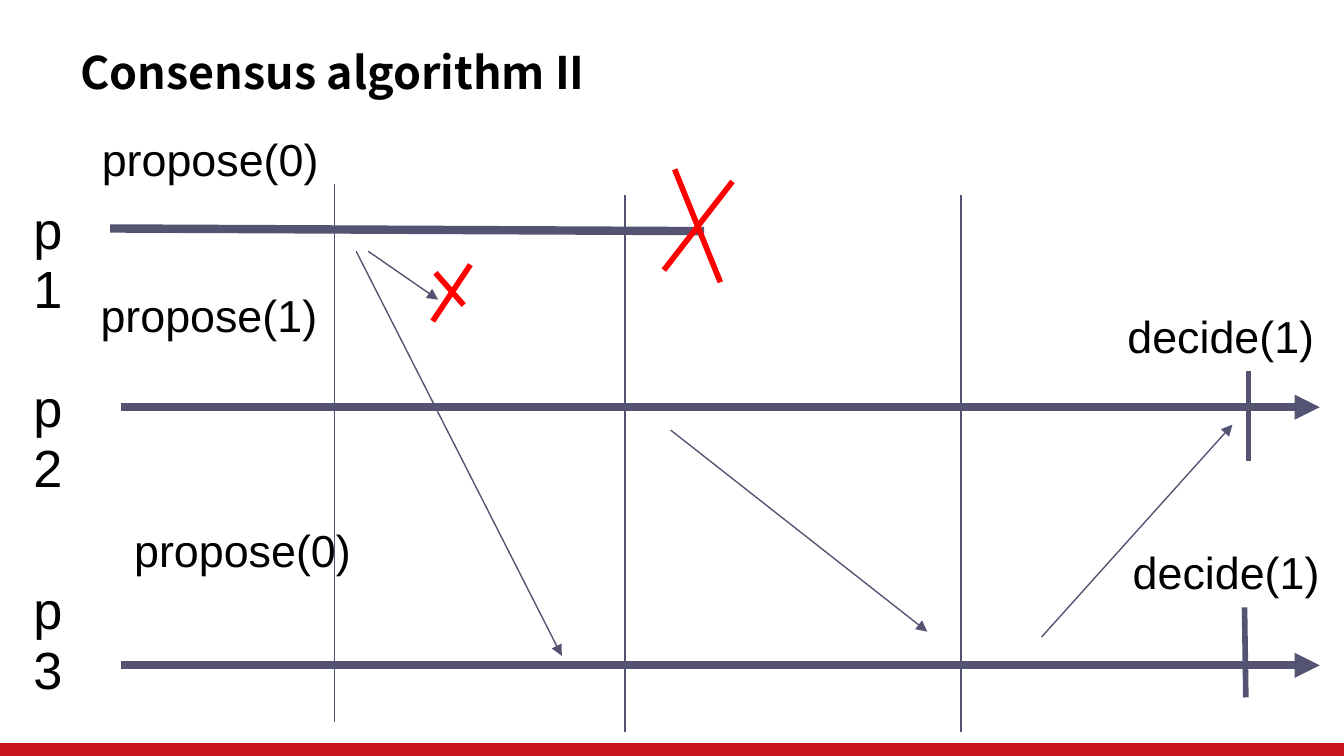
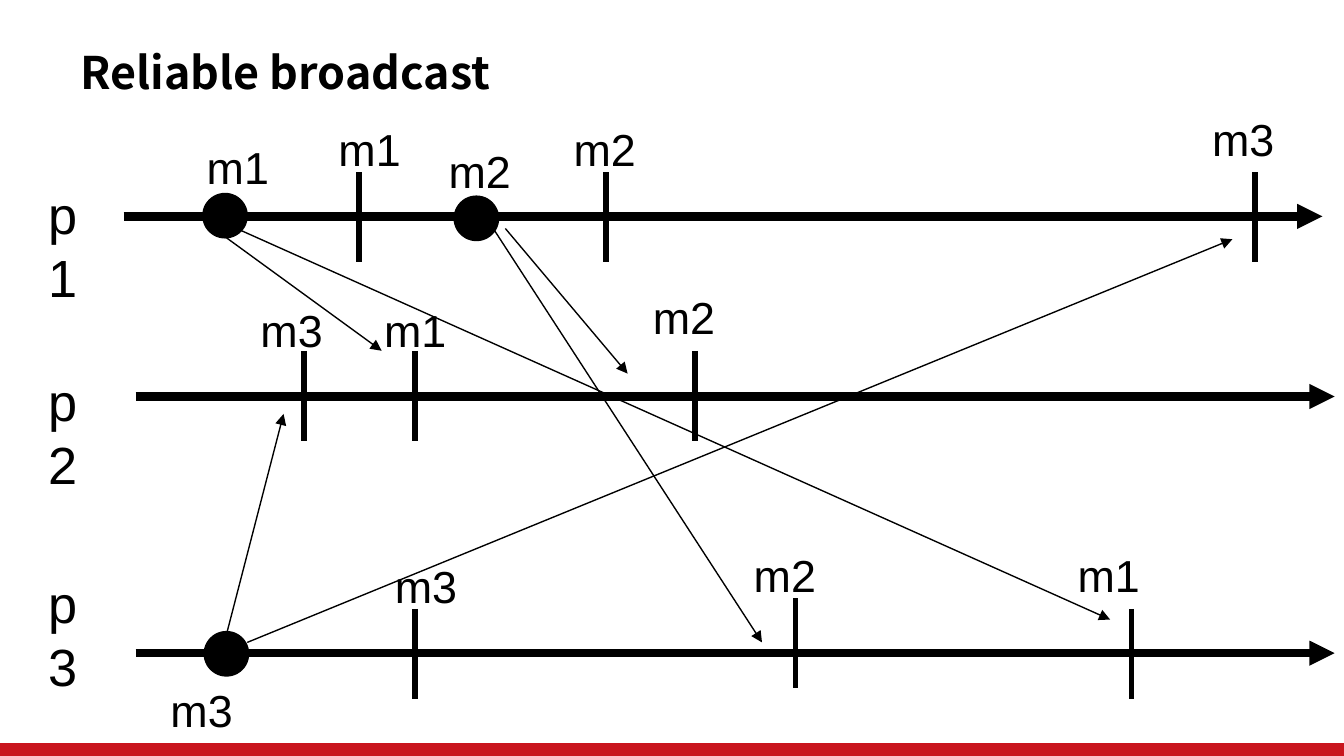
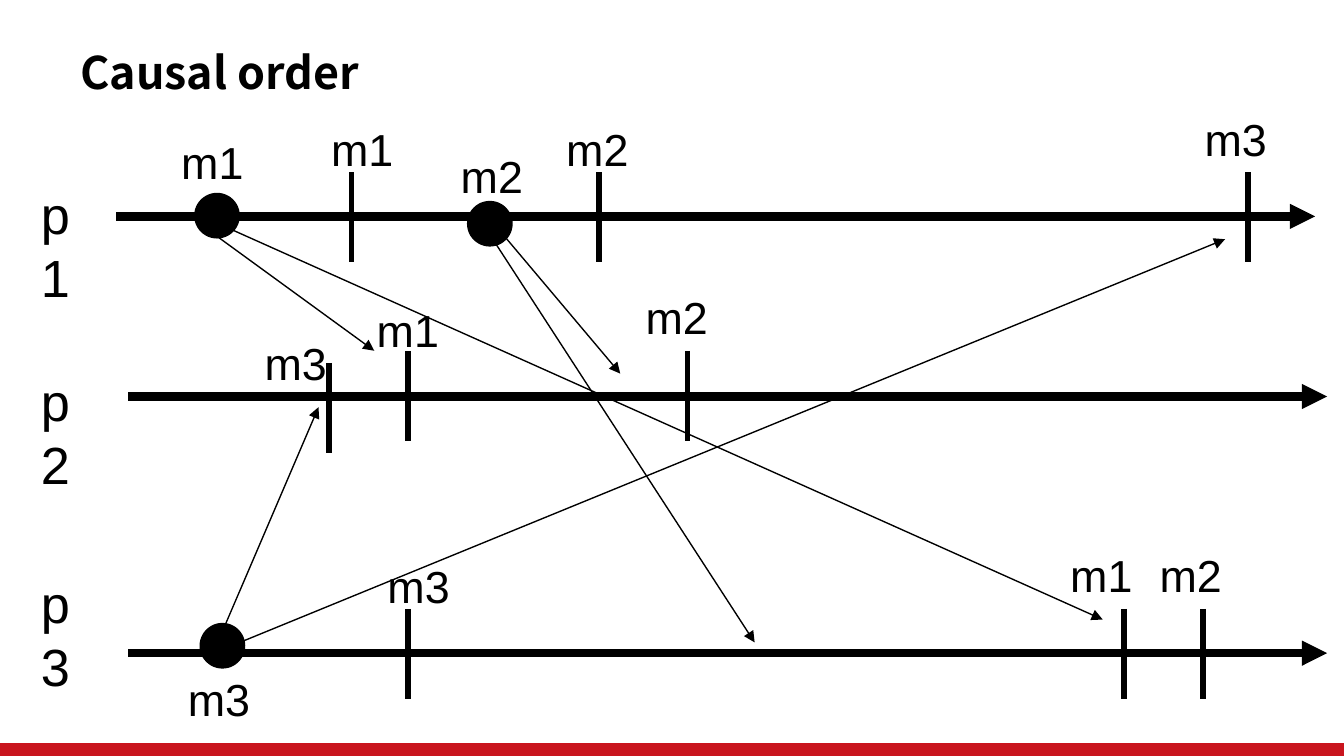
import dataclasses

import pptx
import pptx.dml.color
import pptx.enum.shapes
import pptx.enum.text
import pptx.oxml
import pptx.oxml.ns
import pptx.util
from lxml import etree


@dataclasses.dataclass(frozen=True)
class Theme:
    """Colours, fonts, type sizes and line widths of the deck."""
    ink: str = "000000"
    slate: str = "545472"
    failure: str = "FF0000"
    band: str = "C9151E"
    title_font: str = "Noto Sans CJK SC"
    body_font: str = "Arial"
    title_size: int = 24
    event_size: int = 24
    process_size: int = 28
    thin: float = 0.75
    medium: float = 3
    thick: float = 4.5


class Deck:
    """Draws on the current slide, on a grid of 100 columns of square cells."""

    def __init__(self, theme):
        self.theme = theme
        self.prs = pptx.Presentation()
        self.prs.slide_width = pptx.util.Inches(10)
        self.prs.slide_height = self.prs.slide_width * 9 // 16
        self.cell = self.prs.slide_width // 100
        self.origin = 0
        self.spacing = None

    def place(self, col, row):
        """Turn a grid point into slide lengths."""
        return round((col + self.origin) * self.cell), round(row * self.cell)

    def size(self, cols, rows):
        """Turn a grid extent into slide lengths."""
        return round(cols * self.cell), round(rows * self.cell)

    def new_slide(self, title, spacing=None):
        """Start a slide with its bottom band and title."""
        self.origin, self.spacing = 0, None
        self.slide = self.prs.slides.add_slide(self.prs.slide_layouts[6])
        self.solid(pptx.enum.shapes.MSO_SHAPE.RECTANGLE, 0, 55.3, 100, 1, self.theme.band)
        heading = self.text(title, 5, 2.9, 69.6, 4.9, self.theme.title_size,
                            self.theme.title_font, bold=True)
        heading.auto_size = pptx.enum.text.MSO_AUTO_SIZE.NONE
        heading.vertical_anchor = pptx.enum.text.MSO_ANCHOR.MIDDLE
        self.spacing = spacing

    def solid(self, kind, col, row, cols, rows, colour):
        """Draw a filled preset shape without an outline."""
        shape = self.slide.shapes.add_shape(kind, *self.place(col, row), *self.size(cols, rows))
        shape.shadow.inherit = False
        shape.fill.solid()
        shape.fill.fore_color.rgb = pptx.dml.color.RGBColor.from_string(colour)
        shape.line.fill.background()
        return shape

    def text(self, words, col, row, cols, rows, size, font, bold=False):
        """Write one paragraph and return its text frame."""
        box = self.slide.shapes.add_textbox(*self.place(col, row), *self.size(cols, rows))
        frame = box.text_frame
        frame.word_wrap = True
        frame.auto_size = pptx.enum.text.MSO_AUTO_SIZE.SHAPE_TO_FIT_TEXT
        frame.text = words
        paragraph = frame.paragraphs[0]
        paragraph.line_spacing = self.spacing
        style = paragraph.runs[0].font
        style.name, style.size, style.bold = font, pptx.util.Pt(size), bold
        style.color.rgb = pptx.dml.color.RGBColor.from_string(self.theme.ink)
        return frame

    def event(self, words, col, row, cols=8.3):
        """Write the name of an event."""
        self.text(words, col, row, cols, 5, self.theme.event_size, self.theme.body_font)

    def processes(self, col, rows):
        """Name the processes p1, p2, ... at the given rows."""
        for number, row in enumerate(rows, 1):
            self.text(f"p{number}", col, row, 5.9, 5.7,
                      self.theme.process_size, self.theme.body_font)

    def line(self, start, end, colour, width, arrow=False):
        """Draw a straight line, with an arrowhead at its end on request."""
        connector = self.slide.shapes.add_connector(
            pptx.enum.shapes.MSO_CONNECTOR.STRAIGHT, *self.place(*start), *self.place(*end))
        connector.line.color.rgb = pptx.dml.color.RGBColor.from_string(colour)
        connector.line.width = pptx.util.Pt(width)
        if arrow:
            tail = etree.SubElement(connector.line._get_or_add_ln(), pptx.oxml.ns.qn("a:tailEnd"))
            tail.set("type", "triangle")
        etree.SubElement(connector._element.spPr, pptx.oxml.ns.qn("a:effectLst"))

    def timeline(self, start, end, colour, arrow=True):
        """Draw the time axis of one process."""
        self.line(start, end, colour, self.theme.thick, arrow)

    def message(self, start, end, colour):
        """Draw a message from one process to another."""
        self.line(start, end, colour, self.theme.thin, arrow=True)

    def tick(self, col, row, colour, lean=0):
        """Mark a moment on a time axis."""
        self.line((col, row), (col + lean, row + 6.7), colour, self.theme.medium)

    def dot(self, col, row):
        """Mark a broadcast with a round dot."""
        dot = self.solid(pptx.enum.shapes.MSO_SHAPE.OVAL, col, row, 3.3, 3.3, self.theme.ink)
        dot.line.color.rgb = pptx.dml.color.RGBColor.from_string(self.theme.ink)
        dot.line.width = pptx.util.Pt(self.theme.thin)


def consensus(deck):
    """Build the slide on the consensus algorithm."""
    theme = deck.theme
    deck.new_slide("Consensus algorithm II", spacing=0.95)
    deck.timeline((8.2, 17), (52.4, 17.2), theme.slate, arrow=False)
    for row in (30.3, 49.5):
        deck.timeline((9, row), (98.2, row), theme.slate)
    deck.processes(1.5, (14.5, 27.8, 42.8))
    for col, row in ((24.9, 13.7), (46.5, 14.5), (71.5, 14.5)):
        deck.line((col, row), (col, row + 40), theme.slate, theme.thin)
    for start, end in (((26.5, 18.7), (41.8, 48.8)), ((27.4, 18.7), (32.6, 22.3)),
                       ((49.9, 32), (69, 47)), ((77.5, 47.4), (91.7, 31.6))):
        deck.message(start, end, theme.slate)
    for value, col, row in ((0, 6.6, 9.6), (1, 6.5, 21.2), (0, 9, 38.7)):
        deck.event(f"propose({value})", col, row, 23.3)
    for col, row, cols in ((82.9, 22.8, 17.1), (83.3, 40.3, 18)):
        deck.event("decide(1)", col, row, cols)
    deck.tick(92.9, 27.6, theme.slate)
    deck.tick(92.6, 45.2, theme.slate, lean=0.1)
    for start, end in (((54.5, 13.5), (49.4, 20.1)), ((50.2, 12.6), (53.6, 21)),
                       ((35, 19.7), (32.2, 23.9)), ((32.4, 20.3), (34.5, 22.7))):
        deck.line(start, end, theme.failure, theme.medium)


def broadcast(deck, title, shift, labels, ticks, reply, dots):
    """Build a broadcast slide from the common run and the events of its own."""
    ink = deck.theme.ink
    deck.new_slide(title)
    deck.origin = shift
    for col, row in ((9.2, 16.1), (10.1, 29.5), (10.1, 48.6)):
        deck.timeline((col, row), (col + 89.2, row), ink)
    deck.processes(2.6, (13.1, 27, 42))
    for start, end in (((15.9, 17), (28.4, 26.1)), ((17.6, 17), (82.6, 46.1)),
                       ((37.6, 17), (46.7, 27.8)), ((36.7, 17), (56.7, 47.8)),
                       ((18.4, 47.8), (91.7, 17.8))):
        deck.message(start, end, ink)
    for row, cols in ((12.8, (26.7, 45.1, 93.4)), (26.1, (30.9, 51.7)), (45.3, (30.9, 84.2))):
        for col in cols:
            deck.tick(col, row, ink)
    for words, col, row in (("m1", 24.2, 8.6), ("m2", 41.7, 8.6), ("m3", 89.2, 7.8),
                            ("m1", 27.6, 22), ("m2", 47.6, 21.1),
                            ("m3", 28.4, 41.1), ("m1", 79.2, 40.3)):
        deck.event(words, col, row)
    deck.origin = 0
    deck.message(*reply, ink)
    for col, row in ticks:
        deck.tick(col, row, ink)
    for words, col, row in labels:
        deck.event(words, col, row)
    for col, row in dots:
        deck.dot(col, row)


def main():
    """Build the three slides and save them."""
    deck = Deck(Theme())
    consensus(deck)
    broadcast(
        deck, "Reliable broadcast", shift=0,
        labels=(("m1", 14.4, 9.9), ("m2", 32.4, 10.2), ("m3", 18.4, 22),
                ("m2", 55.1, 40.3), ("m3", 11.7, 50.3)),
        ticks=((22.6, 26.1), (59.2, 44.5)),
        reply=((16.7, 47.8), (21.1, 30.8)),
        dots=((15.1, 14.4), (33.8, 14.6), (15.2, 47)))
    broadcast(
        deck, "Causal order", shift=-0.55,
        labels=(("m1", 12.5, 9.5), ("m2", 33.3, 10.6), ("m3", 18.7, 24.5),
                ("m2", 85.3, 40.3), ("m3", 13, 49.5)),
        ticks=((24.5, 27), (89.5, 45.3)),
        reply=((16.2, 47.8), (23.7, 30.3)),
        dots=((14.5, 14.4), (34.8, 15), (14.9, 46.4)))
    deck.prs.save("out.pptx")


if __name__ == "__main__":
    main()
